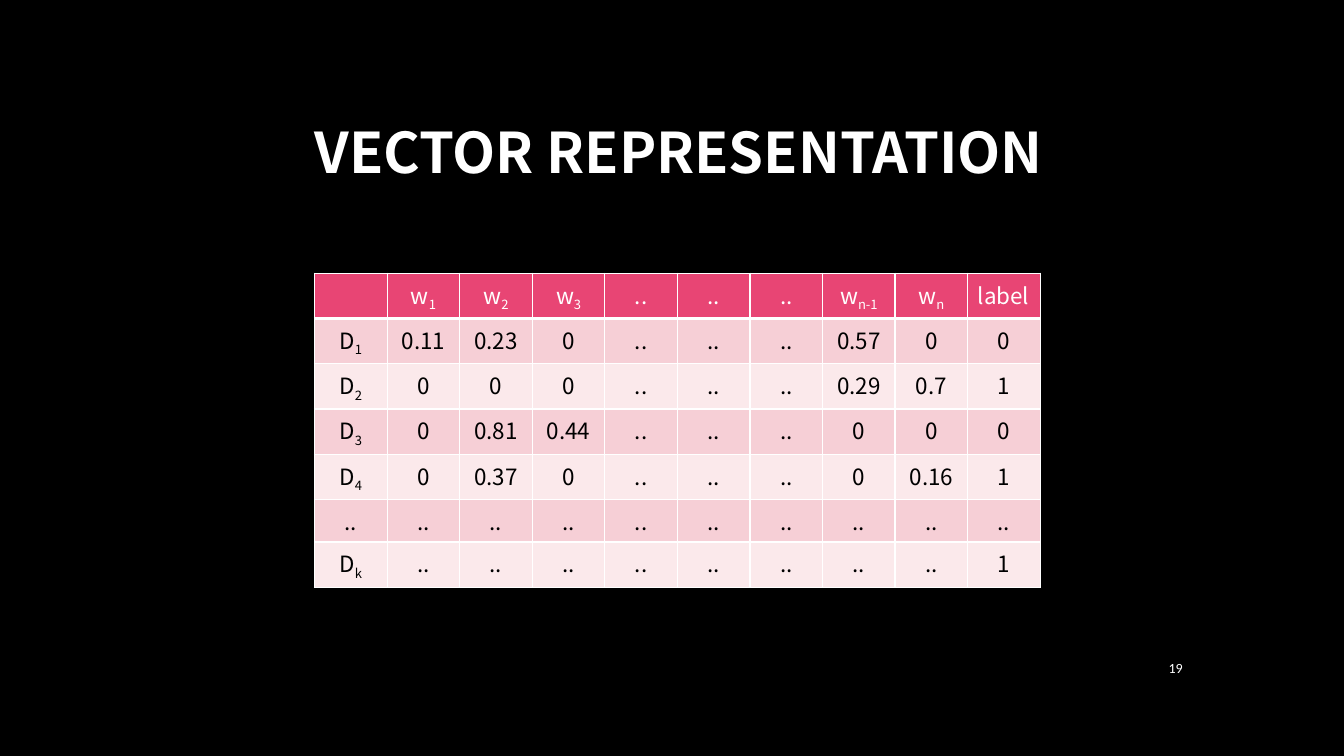
from dataclasses import dataclass

from lxml.etree import SubElement
from pptx import Presentation
from pptx.dml.color import RGBColor
from pptx.enum.text import MSO_ANCHOR, MSO_AUTO_SIZE, PP_ALIGN
from pptx.oxml.ns import qn
from pptx.util import Inches, Pt


@dataclass(frozen=True)
class Theme:
    """Colours, fonts and type sizes of the slide."""
    background: str = "000000"
    light: str = "FFFFFF"
    dark: str = "000000"
    header: str = "E84574"
    bands: tuple[str, str] = ("F6CFD6", "FBE9EB")
    main_font: str = "Noto Sans CJK SC"
    number_font: str = "Calibri"
    title_size: int = 40
    table_size: int = 16
    number_size: int = 10


@dataclass(frozen=True)
class TextStyle:
    """Look of one run of text."""
    font: str
    size: int
    color: str
    bold: bool = False


THEME = Theme()
TITLE_STYLE = TextStyle(THEME.main_font, THEME.title_size, THEME.light, True)
NUMBER_STYLE = TextStyle(THEME.number_font, THEME.number_size, THEME.light)
HEADER_STYLE = TextStyle(THEME.main_font, THEME.table_size, THEME.light)
BODY_STYLE = TextStyle(THEME.main_font, THEME.table_size, THEME.dark)

COLUMN_WIDTH = Inches(0.72)
ROW_HEIGHT = Inches(0.41)
THIN, THICK = Pt(1), Pt(3)

# An underscore separates a symbol from its subscript.
GAP = [".."] * 3
VECTORS = [
    ["", "w_1", "w_2", "w_3", *GAP, "w_n-1", "w_n", "label"],
    ["D_1", "0.11", "0.23", "0", *GAP, "0.57", "0", "0"],
    ["D_2", "0", "0", "0", *GAP, "0.29", "0.7", "1"],
    ["D_3", "0", "0.81", "0.44", *GAP, "0", "0", "0"],
    ["D_4", "0", "0.37", "0", *GAP, "0", "0.16", "1"],
    [".."] * 10,
    ["D_k", *[".."] * 8, "1"],
]


def add_run(para, text: str, style: TextStyle, subscript: bool = False) -> None:
    """Add one styled run to a paragraph."""
    span = para.add_run()
    span.text = text
    span.font.name = style.font
    span.font.size = Pt(style.size)
    span.font.bold = style.bold
    span.font.color.rgb = RGBColor.from_string(style.color)
    if subscript:
        span._r.get_or_add_rPr().set("baseline", "-25000")


def fill_frame(frame, text: str, style: TextStyle, align: PP_ALIGN) -> None:
    """Set a single wrapped line, centred vertically in its box."""
    frame.word_wrap = True
    frame.auto_size = MSO_AUTO_SIZE.NONE
    frame.vertical_anchor = MSO_ANCHOR.MIDDLE
    para = frame.paragraphs[0]
    para.alignment = align
    add_run(para, text, style)


def set_borders(cell, bottom: int) -> None:
    """Draw light borders round a cell, ahead of its fill in the XML."""
    properties = cell._tc.get_or_add_tcPr()
    for side, width in (("L", THIN), ("R", THIN), ("T", THIN), ("B", bottom)):
        line = SubElement(properties, qn(f"a:ln{side}"), w=str(width))
        color = SubElement(SubElement(line, qn("a:solidFill")), qn("a:srgbClr"))
        color.set("val", THEME.light)


def fill_cell(cell, text: str, style: TextStyle, fill: str, bottom: int) -> None:
    """Write a cell, with any subscript as a run of its own."""
    set_borders(cell, bottom)
    cell.fill.solid()
    cell.fill.fore_color.rgb = RGBColor.from_string(fill)
    para = cell.text_frame.paragraphs[0]
    para.alignment = PP_ALIGN.LEFT if text == "label" else PP_ALIGN.CENTER
    symbol, _, subscript = text.partition("_")
    if symbol:
        add_run(para, symbol, style)
    if subscript:
        add_run(para, subscript, style, subscript=True)


def add_vector_table(page) -> None:
    """Add the table of document vectors with a header and banded rows."""
    row_count, column_count = len(VECTORS), len(VECTORS[0])
    table = page.shapes.add_table(
        row_count, column_count, Inches(3.12), Inches(2.71),
        COLUMN_WIDTH * column_count, ROW_HEIGHT * row_count).table
    table.first_row = table.horz_banding = False
    for column in table.columns:
        column.width = COLUMN_WIDTH
    for index, (row, values) in enumerate(zip(table.rows, VECTORS)):
        row.height = ROW_HEIGHT
        if index == 0:
            style, fill, bottom = HEADER_STYLE, THEME.header, THICK
        else:
            style, fill, bottom = BODY_STYLE, THEME.bands[(index - 1) % 2], THIN
        for cell, value in zip(row.cells, values):
            fill_cell(cell, value, style, fill, bottom)


def add_title(page) -> None:
    """Place and fill the title placeholder."""
    title = page.shapes.title
    title.left, title.top = Inches(1.19), Inches(0.7)
    title.width, title.height = Inches(11.08), Inches(1.59)
    fill_frame(title.text_frame, "VECTOR REPRESENTATION", TITLE_STYLE, PP_ALIGN.CENTER)


def add_page_number(page) -> None:
    """Add the page number at the lower right."""
    box = page.shapes.add_textbox(Inches(11.23), Inches(6.42), Inches(0.6), Inches(0.41))
    fill_frame(box.text_frame, "19", NUMBER_STYLE, PP_ALIGN.RIGHT)


def main() -> None:
    """Build and save the deck."""
    deck = Presentation()
    deck.slide_width, deck.slide_height = Inches(13.33), Inches(7.5)
    page = deck.slides.add_slide(deck.slide_layouts.get_by_name("Title Only"))
    page.background.fill.solid()
    page.background.fill.fore_color.rgb = RGBColor.from_string(THEME.background)
    add_title(page)
    add_page_number(page)
    add_vector_table(page)
    deck.save("out.pptx")


main()
